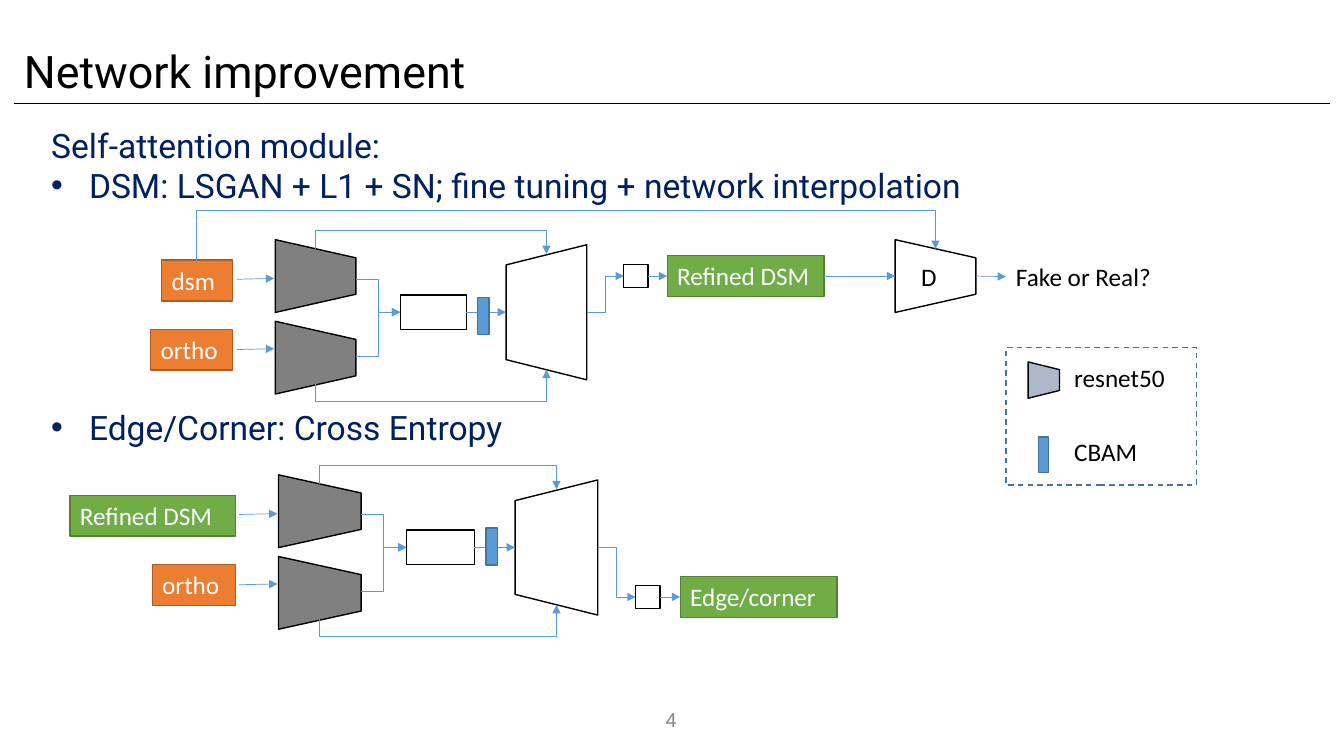
from lxml.etree import SubElement
from pptx import Presentation
from pptx.dml.color import RGBColor
from pptx.enum.dml import MSO_LINE
from pptx.enum.shapes import MSO_CONNECTOR, MSO_SHAPE
from pptx.enum.text import MSO_ANCHOR, PP_ALIGN
from pptx.oxml.ns import qn
from pptx.util import Pt

COLORS = {
    "black": "000000", "white": "FFFFFF", "navy": "002060", "page": "8C8C8C",
    "gray": "808080", "steel": "ADB9CA",
    "orange": "ED7D31", "orange_edge": "AF5C24",
    "green": "70AD47", "green_edge": "538035",
    "blue": "5B9BD5", "blue_edge": "43739E",
}


def color(name):
    return RGBColor.from_string(COLORS[name])


class NetworkSlide:
    def __init__(self, slide):
        self.shapes = slide.shapes

    def add_span(self, para, text, size, ink, font):
        span = para.add_run()
        span.text = text
        span.font.size = Pt(size)
        span.font.name = font
        span.font.color.rgb = color(ink)

    def text(self, left, top, width, height, text, size=18, ink="black",
             font="Calibri", align=PP_ALIGN.LEFT, anchor=MSO_ANCHOR.TOP, inset=7.2):
        box = self.shapes.add_textbox(Pt(left), Pt(top), Pt(width), Pt(height))
        frame = box.text_frame
        frame.word_wrap = True
        frame.vertical_anchor = anchor
        frame.margin_left = Pt(inset)
        para = frame.paragraphs[0]
        para.alignment = align
        self.add_span(para, text, size, ink, font)
        return frame

    def bullet(self, frame, text, space_before=0):
        para = frame.add_paragraph()
        para.space_before = Pt(space_before)
        props = para._p.get_or_add_pPr()
        props.set("marL", str(Pt(27)))
        props.set("indent", str(-Pt(27)))
        SubElement(props, qn("a:buFont"), typeface="Arial")
        SubElement(props, qn("a:buChar"), char="•")
        self.add_span(para, text, 24, "navy", "Roboto")

    def shape(self, left, top, width, height, fill, edge="black", kind=MSO_SHAPE.RECTANGLE):
        shape = self.shapes.add_shape(kind, Pt(left), Pt(top), Pt(width), Pt(height))
        shape.shadow.inherit = False
        if fill:
            shape.fill.solid()
            shape.fill.fore_color.rgb = color(fill)
        else:
            shape.fill.background()
        shape.line.color.rgb = color(edge)
        shape.line.width = Pt(1)
        return shape

    def label(self, left, top, width, text, hue):
        box = self.shape(left, top, width, 29.1, hue, hue + "_edge")
        frame = box.text_frame
        frame.vertical_anchor = MSO_ANCHOR.TOP
        frame.paragraphs[0].alignment = PP_ALIGN.LEFT
        self.add_span(frame.paragraphs[0], text, 18, "white", "Calibri")

    def trapezoid(self, left, top, width, height, fill, turn=90):
        """Place a sideways trapezoid by the bounds it shows after turning."""
        shape = self.shape(left + (width - height) / 2, top + (height - width) / 2,
                           height, width, fill, kind=MSO_SHAPE.TRAPEZOID)
        shape.rotation = turn
        return shape

    def line(self, x1, y1, x2, y2, kind=MSO_CONNECTOR.STRAIGHT, ink="blue", arrow=True):
        line = self.shapes.add_connector(kind, Pt(x1), Pt(y1), Pt(x2), Pt(y2))
        line.line.color.rgb = color(ink)
        line.line.width = Pt(0.5)
        props = line._element.spPr
        if arrow:
            SubElement(props.find(qn("a:ln")), qn("a:tailEnd"), type="triangle")
        SubElement(props, qn("a:effectLst"))
        return line

    def elbow(self, x1, y1, x2, y2):
        return self.line(x1, y1, x2, y2, MSO_CONNECTOR.ELBOW)

    def loop(self, x1, y1, x2, y2, via):
        """Arrow leaving vertically, crossing at height via, arriving vertically."""
        center_x, center_y = (x1 + x2) / 2, (y1 + y2) / 2
        half_w, half_h = abs(y2 - y1) / 2, (x2 - x1) / 2
        down = y2 > y1
        if down:
            half_h = -half_h
        line = self.elbow(center_x + half_w, center_y + half_h,
                          center_x - half_w, center_y - half_h)
        props = line._element.spPr
        props.find(qn("a:xfrm")).set("rot", str((270 if down else 90) * 60000))
        geometry = props.find(qn("a:prstGeom"))
        guides = geometry.find(qn("a:avLst"))
        if guides is None:
            guides = SubElement(geometry, qn("a:avLst"))
        bend = round((via - y1) / (y2 - y1) * 100000)
        SubElement(guides, qn("a:gd"), name="adj1", fmla=f"val {bend}")

    def network(self, left, top, scale, inputs, output, output_mid, cbam_top):
        """Two encoders, bottleneck, attention block, decoder and output."""
        def x(offset):
            return left + offset * scale

        mid = top + 51.8
        encoder_tops = (top, top + 58.3)
        label_tops = (top + 14.6, top + 64.1)
        arrow_starts = (top + 28.3, top + 78.5)
        joints = (top + 28.3, top + 83.5)
        for (name, hue, width), encoder, label, start, joint in zip(
                inputs, encoder_tops, label_tops, arrow_starts, joints):
            self.trapezoid(left, encoder, 57.6 * scale, 52, "gray")
            self.label(left - 30.6 - width, label, width, name, hue)
            self.line(x(-27.4), start, x(-0.7), start - 0.6)
            self.elbow(x(57.6), joint, x(89.3), mid)
        self.shape(x(89.3), mid - 12.4, 47.2 * scale, 24.6, "white")
        self.trapezoid(x(164.9), mid - 48.2, 57.6 * scale, 96.5, "white", 270)
        self.line(x(136.5), mid, x(164.9), mid)
        self.shape(x(144.7), top + cbam_top, 8, 26.5, "blue", "blue_edge")
        self.loop(x(28.8), top + 6.5, x(193.7), top + 10.2, top - 6.5)
        self.loop(x(28.8), top + 103, x(193.7), top + 93, top + 115.2)
        end = top + output_mid
        self.shape(x(249), end - 8.3, 17.4, 16.6, "white")
        self.elbow(x(222.5), mid, x(249), end)
        self.line(x(249) + 17.4, end, x(280), end)
        self.label(x(280), end - 14.6, 112, output, "green")


def main():
    deck = Presentation()
    deck.slide_width, deck.slide_height = Pt(960), Pt(540)
    page = NetworkSlide(deck.slides.add_slide(deck.slide_layouts[6]))

    page.line(10, 73.7, 950, 73.7, ink="black", arrow=False)
    page.text(10, 27.4, 465, 46, "Network improvement", 32, font="Roboto")
    page.text(371.5, 499.7, 216, 28.8, "4", 14, "page", "Roboto",
              PP_ALIGN.CENTER, MSO_ANCHOR.MIDDLE)
    body = page.text(29.5, 85.7, 875, 414, "Self-attention module:", 24, "navy", "Roboto")
    page.bullet(body, "DSM: LSGAN + L1 + SN; fine tuning + network interpolation")
    page.bullet(body, "Edge/Corner: Cross Entropy", space_before=144)

    page.network(196.6, 171.2, 1,
                 [("dsm", "orange", 50.4), ("ortho", "orange", 58.3)],
                 "Refined DSM", 26, 41.4)
    page.network(198.9, 339.2, 1.025,
                 [("Refined DSM", "green", 118.3), ("ortho", "orange", 59.5)],
                 "Edge/corner", 87.2, 38)

    discriminator = page.trapezoid(639.4, 171.2, 57.6, 52, "white")
    frame = discriminator.text_frame
    frame._txBody.bodyPr.set("vert", "vert270")
    frame.vertical_anchor = MSO_ANCHOR.MIDDLE
    frame.paragraphs[0].alignment = PP_ALIGN.CENTER
    page.add_span(frame.paragraphs[0], "D", 18, "black", "Calibri")
    page.line(588.6, 197.2, 639.4, 197.2)
    page.line(697, 197.2, 718.6, 197.6)
    page.text(718.6, 183, 112.3, 29.1, "Fake or Real?").word_wrap = False
    page.loop(140.4, 186.5, 668.2, 177.8, 150.5)

    legend = page.shape(718.6, 248.4, 136, 98, None, "blue_edge")
    legend.line.dash_style = MSO_LINE.DASH
    page.trapezoid(734.4, 258.5, 22.4, 26, "steel")
    page.shape(741.6, 312.2, 7.5, 25.2, "blue", "blue_edge")
    for name, top in (("resnet50", 255.6), ("CBAM", 308.2)):
        page.text(756, top, 93, 30, name, inset=11.3)

    deck.save("out.pptx")


if __name__ == "__main__":
    main()
